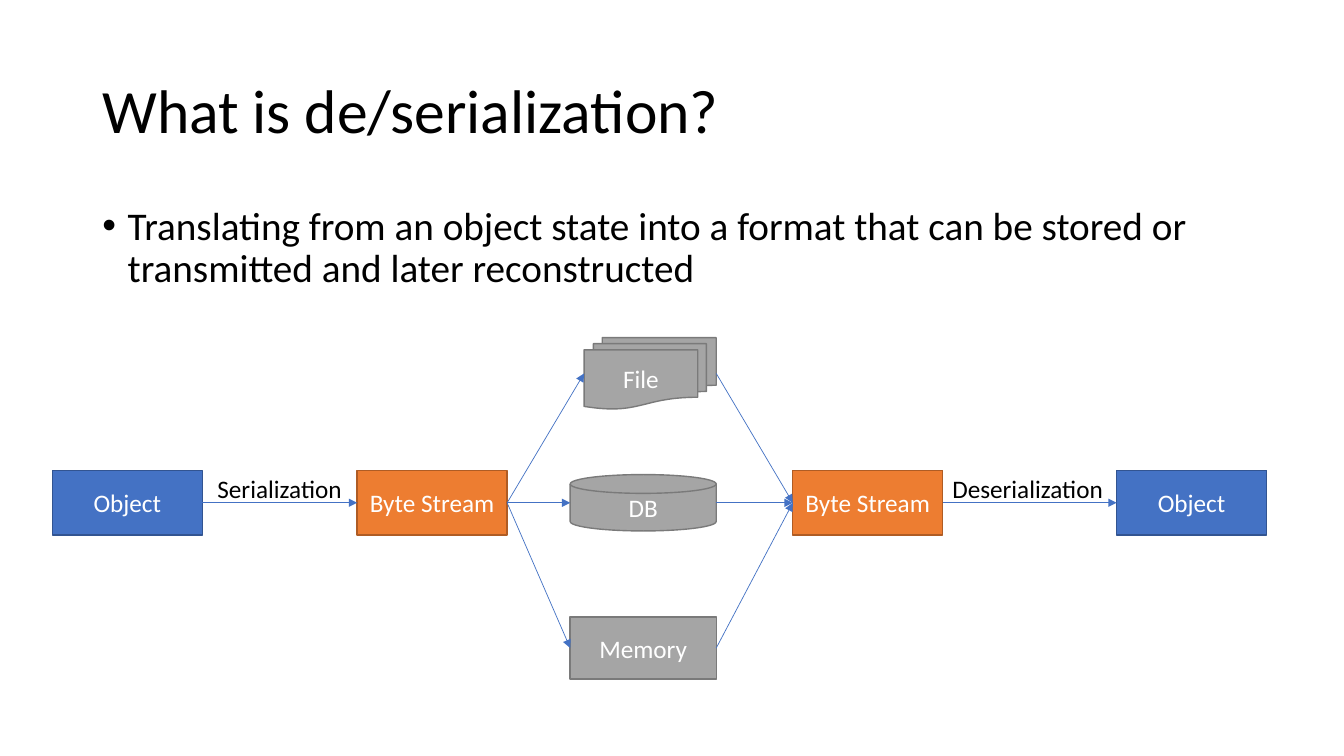
from lxml import etree
from pptx import Presentation
from pptx.dml.color import RGBColor
from pptx.enum.shapes import MSO_CONNECTOR, MSO_SHAPE
from pptx.enum.text import MSO_ANCHOR, PP_ALIGN
from pptx.oxml.ns import qn
from pptx.util import Cm, Pt

STRAIGHT = MSO_CONNECTOR.STRAIGHT
PROCESS = MSO_SHAPE.FLOWCHART_PROCESS
DISK = MSO_SHAPE.FLOWCHART_MAGNETIC_DISK
DOCUMENTS = MSO_SHAPE.FLOWCHART_MULTIDOCUMENT
TOP, MIDDLE = MSO_ANCHOR.TOP, MSO_ANCHOR.MIDDLE
LEFT, CENTER = PP_ALIGN.LEFT, PP_ALIGN.CENTER
LEFT_SIDE, RIGHT_SIDE = 1, 3

# Content
TITLE = "What is de/serialization?"
BODY = ("Translating from an object state into a format that can be stored "
        "or transmitted and later reconstructed")

AXIS = 12.67                      # centre line of the flow, cm
STEP_SIZE = (3.78, 1.63)
STORE_RIGHT = 18.05

# key: text, colour role, left
STEPS = {
    "source": ("Object", "object", 1.32),
    "written": ("Byte Stream", "stream", 9.0),
    "read": ("Byte Stream", "stream", 19.98),
    "restored": ("Object", "object", 28.14),
}
# text, shape, centre height, width, height
STORES = [
    ("File", DOCUMENTS, 9.41, 3.33, 1.8),
    ("DB", DISK, AXIS, 3.68, 1.42),
    ("Memory", PROCESS, 16.33, 3.68, 1.57),
]
# from, to, label, label left, label width
TRANSFERS = [
    ("source", "written", "Serialization", 5.23, 3.76),
    ("read", "restored", "Deserialization", 23.75, 4.42),
]

# Theme
THEME = {
    "font": "Calibri",
    "text": "000000",
    "on_fill": "FFFFFF",
    "arrow": "4472C4",
    "fills": {  # fill, outline
        "object": ("4472C4", "325491"),
        "stream": ("ED7D31", "AF5C24"),
        "store": ("A5A5A5", "7A7A7A"),
    },
    "title_size": 44, "body_size": 28, "label_size": 18,
    "outline_width": 1, "arrow_width": 0.5,
}


def rgb(value):
    return RGBColor.from_string(value)


def write(sp, text, size, color, anchor=TOP, **paragraph_format):
    tf = sp.text_frame
    tf.word_wrap = True
    tf.vertical_anchor = anchor
    p = tf.paragraphs[0]
    for name, value in paragraph_format.items():
        setattr(p, name, value)
    r = p.add_run()
    r.text = text
    font_format = {"name": THEME["font"], "size": Pt(THEME[size])}
    for name, value in font_format.items():
        setattr(r.font, name, value)
    r.font.color.rgb = rgb(THEME[color])
    return p


def add_text(s, box, *args, **kwargs):
    sp = s.shapes.add_textbox(*map(Cm, box))
    return write(sp, *args, **kwargs)


def add_node(s, text, kind, role, left, center, width, height):
    fill, outline = THEME["fills"][role]
    sp = s.shapes.add_shape(kind, Cm(left), Cm(center - height / 2),
                            Cm(width), Cm(height))
    sp.shadow.inherit = False
    sp.fill.solid()
    sp.fill.fore_color.rgb = rgb(fill)
    sp.line.color.rgb = rgb(outline)
    sp.line.width = Pt(THEME["outline_width"])
    write(sp, text, "label_size", "on_fill", MIDDLE, alignment=CENTER)
    return sp


def add_arrow(s, start, end):
    """Run from the right side of start to the left side of end."""
    cxn = s.shapes.add_connector(
        STRAIGHT, start.left + start.width, start.top + start.height // 2,
        end.left, end.top + end.height // 2)
    if start.auto_shape_type == PROCESS:
        cxn.begin_connect(start, RIGHT_SIDE)
    if end.auto_shape_type == PROCESS:
        cxn.end_connect(end, LEFT_SIDE)
    cxn.line.color.rgb = rgb(THEME["arrow"])
    cxn.line.width = Pt(THEME["arrow_width"])
    etree.SubElement(cxn.line._get_or_add_ln(), qn("a:tailEnd"), type="triangle")
    etree.SubElement(cxn._element.spPr, qn("a:effectLst"))


def main():
    prs = Presentation()
    prs.slide_width, prs.slide_height = Cm(33.87), Cm(19.05)
    s = prs.slides.add_slide(prs.slide_layouts[6])

    # Title and bulleted definition
    add_text(s, (2.33, 1.02, 29.21, 3.68), TITLE, "title_size", "text", MIDDLE,
             alignment=LEFT, line_spacing=0.9)
    p = add_text(s, (2.33, 5.07, 29.21, 2.67), BODY, "body_size", "text",
                 alignment=LEFT, line_spacing=0.9, space_before=Pt(10))
    pPr = p._p.get_or_add_pPr()
    pPr.set("marL", str(Cm(0.64)))
    pPr.set("indent", str(-Cm(0.64)))
    etree.SubElement(pPr, qn("a:buFont"), typeface="Arial")
    etree.SubElement(pPr, qn("a:buChar"), char="•")

    # Steps on the centre line
    steps = {key: add_node(s, text, PROCESS, role, left, AXIS, *STEP_SIZE)
             for key, (text, role, left) in STEPS.items()}

    # Labelled transfers between object and stream
    for start, end, label, left, width in TRANSFERS:
        add_arrow(s, steps[start], steps[end])
        add_text(s, (left, 11.79, width, 1.02), label, "label_size", "text")

    # Stores, right-aligned, each fed by one stream and feeding the other
    for text, kind, center, width, height in STORES:
        store = add_node(s, text, kind, "store", STORE_RIGHT - width, center,
                         width, height)
        add_arrow(s, steps["written"], store)
        add_arrow(s, store, steps["read"])

    prs.save("out.pptx")


if __name__ == "__main__":
    main()
